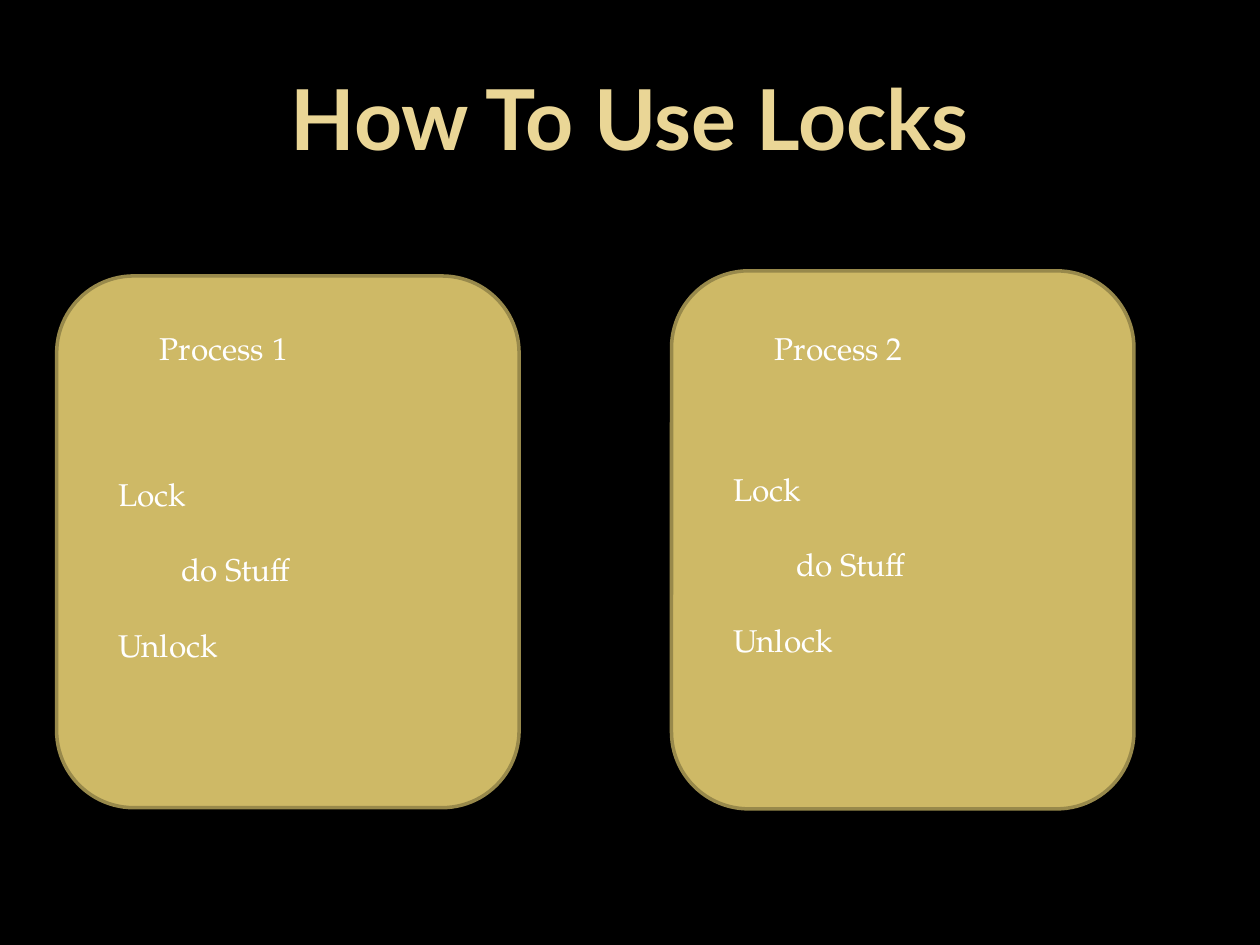
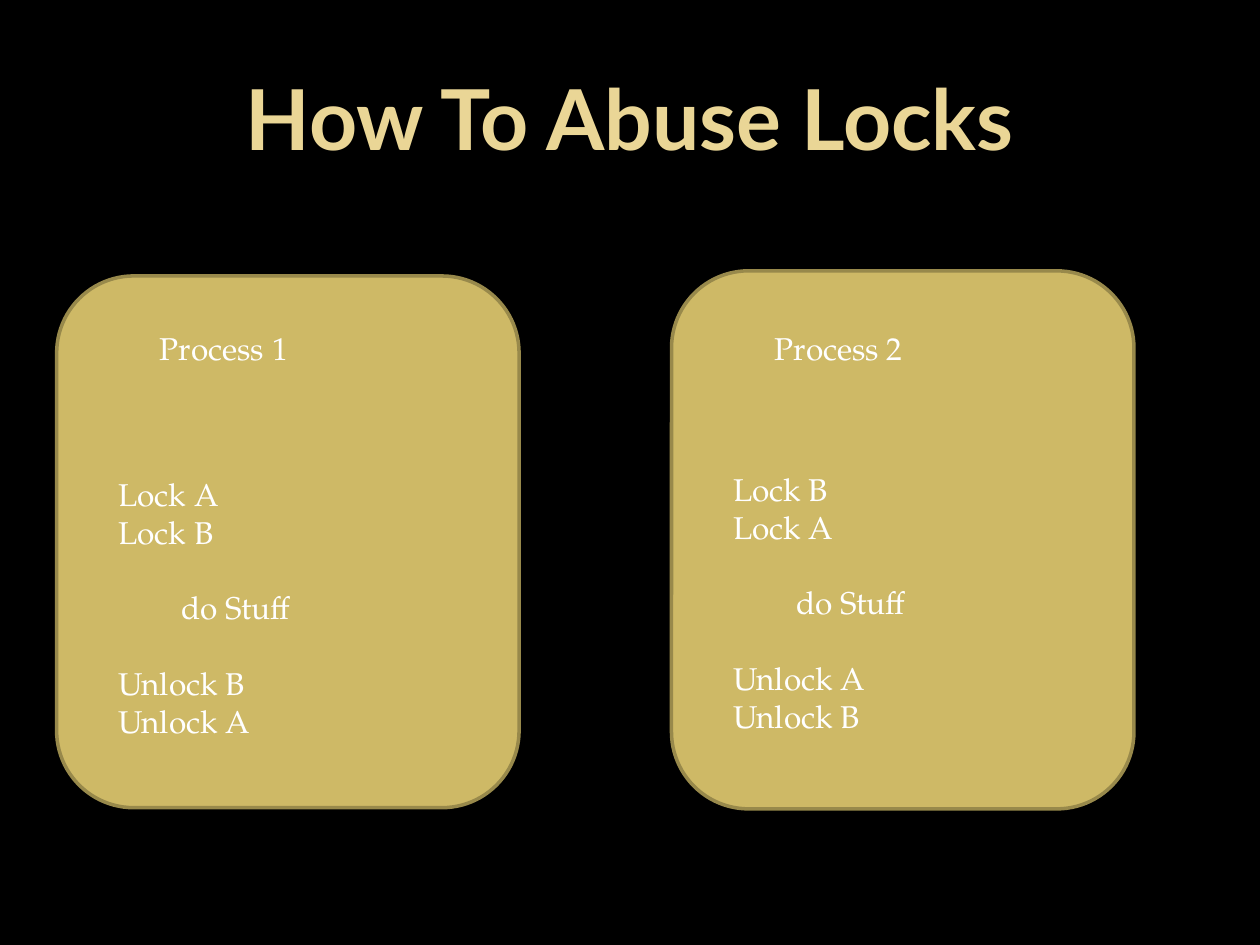
import pptx
import pptx.util
import pptx.dml.color
import pptx.enum.shapes
import pptx.enum.text

Inches, Pt = pptx.util.Inches, pptx.util.Pt
RGBColor = pptx.dml.color.RGBColor

BLACK = RGBColor(0x00, 0x00, 0x00)
WHITE = RGBColor(0xFF, 0xFF, 0xFF)
TITLE_GOLD = RGBColor(0xEA, 0xD6, 0x96)
PANEL_GOLD = RGBColor(0xCE, 0xB9, 0x66)
PANEL_EDGE = RGBColor(0x98, 0x89, 0x4B)
TITLE_FONT, BODY_FONT = "Lato", "TeX Gyre Pagella"
BLANK_LINE = Pt(21.6)

# Panel boxes: left, top, width, height; the heading tops differ slightly
PANELS = [(0.45, 2.19, 3.67, 4.22), (5.33, 2.15, 3.67, 4.27)]
HEADING_TOP = 2.56

SLIDES = [
    ("How To Use Locks", [
        [["Lock"], ["\tdo Stuff"], ["Unlock"]],
        [["Lock"], ["\tdo Stuff"], ["Unlock"]],
    ]),
    ("How To Abuse Locks", [
        [["Lock A", "Lock B"], ["\tdo Stuff"], ["Unlock B", "Unlock A"]],
        [["Lock B", "Lock A"], ["\tdo Stuff"], ["Unlock A", "Unlock B"]],
    ]),
]


def style(p, font, size, color, bold=False):
    """Set the font of a whole paragraph."""
    p.font.name, p.font.size, p.font.bold = font, Pt(size), bold
    p.font.color.rgb = color


def add_text(shapes, box, blocks):
    """Add body text; each block of lines after the first follows a gap."""
    tf = shapes.add_textbox(*map(Inches, box)).text_frame
    tf.word_wrap = True
    for i, block in enumerate(blocks):
        for j, line in enumerate(block):
            p = tf.paragraphs[0] if i == j == 0 else tf.add_paragraph()
            p.add_run().text = line
            style(p, BODY_FONT, 18, WHITE)
            if i and j == 0:
                p.space_before = BLANK_LINE


def add_title(s, text, box):
    """Add the centred slide title."""
    tf = s.shapes.add_textbox(*map(Inches, box)).text_frame
    tf.word_wrap = True
    tf.vertical_anchor = pptx.enum.text.MSO_ANCHOR.MIDDLE
    p = tf.paragraphs[0]
    p.text = text
    p.alignment = pptx.enum.text.PP_ALIGN.CENTER
    style(p, TITLE_FONT, 48, TITLE_GOLD, bold=True)


def add_process(s, box, heading, steps):
    """Add a grouped panel with a process heading and its steps."""
    left, top, width, height = box
    shapes = s.shapes.add_group_shape().shapes
    panel = shapes.add_shape(
        pptx.enum.shapes.MSO_SHAPE.FLOWCHART_ALTERNATE_PROCESS,
        *map(Inches, box))
    panel.shadow.inherit = False
    panel.fill.solid()
    panel.fill.fore_color.rgb = PANEL_GOLD
    panel.line.color.rgb = PANEL_EDGE
    panel.line.width = Pt(2)
    add_text(shapes, (left + 0.39, top + 1.53, width - 0.78, 2.44), steps)
    add_text(shapes, (left + 0.72, HEADING_TOP, 2.24, 0.62), [[heading]])


def add_locks_slide(prs, title, processes):
    """Add a slide that sets two processes side by side."""
    s = prs.slides.add_slide(prs.slide_layouts[6])
    add_title(s, title, (0.5, 0.3, 9, 1.25))
    for n, (box, steps) in enumerate(zip(PANELS, processes), 1):
        add_process(s, box, f"Process {n}", steps)


prs = pptx.Presentation()
prs.slide_width, prs.slide_height = Inches(10), Inches(7.5)
background = prs.slide_master.background.fill
background.solid()
background.fore_color.rgb = BLACK
for title, processes in SLIDES:
    add_locks_slide(prs, title, processes)
prs.save("out.pptx")
